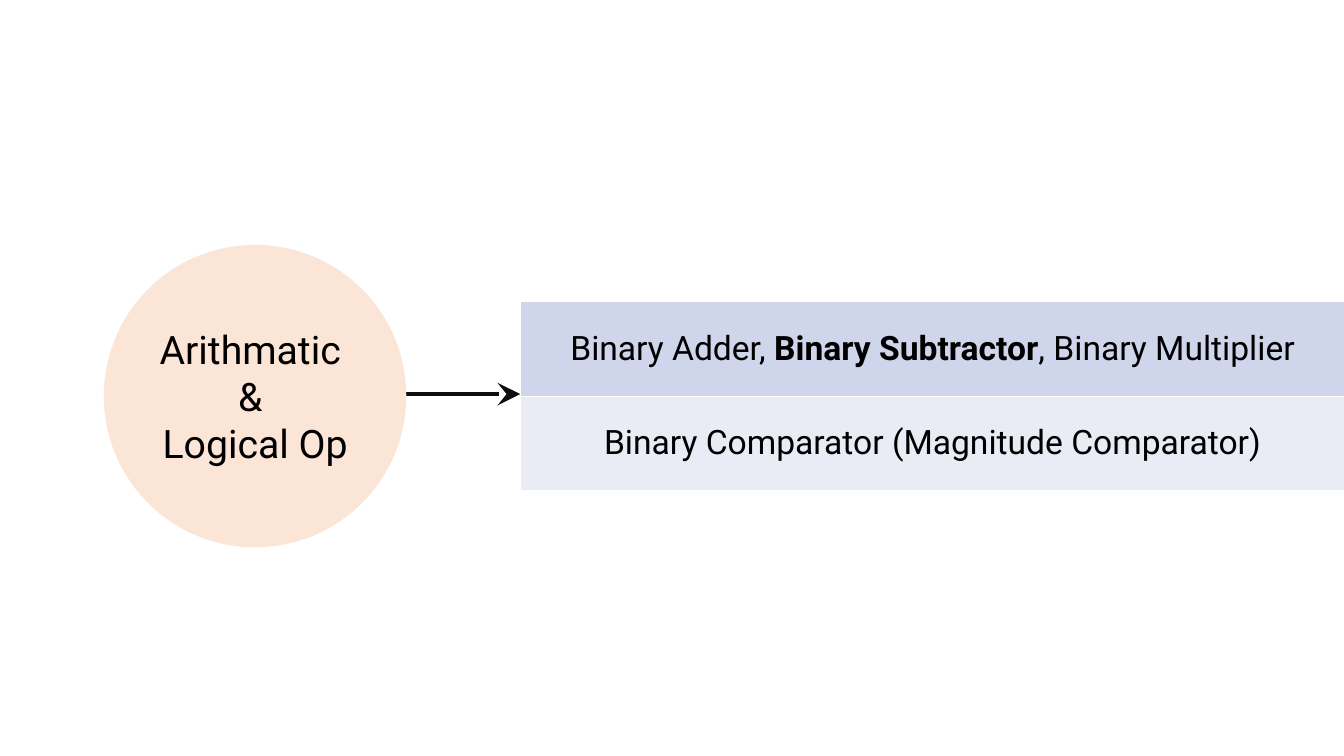
from dataclasses import dataclass

from lxml import etree
from pptx import Presentation
from pptx.dml.color import RGBColor
from pptx.enum.shapes import MSO_CONNECTOR, MSO_SHAPE
from pptx.enum.text import MSO_ANCHOR, MSO_AUTO_SIZE, PP_ALIGN
from pptx.oxml.ns import qn
from pptx.util import Pt

EMU_PER_PX = 9144  # 100 px to the inch
FONT = "Roboto"
BLACK, WHITE, PEACH = "000000", "FFFFFF", "FBE5D6"
CENTER, MIDDLE = PP_ALIGN.CENTER, MSO_ANCHOR.MIDDLE
OVAL, RECTANGLE = MSO_SHAPE.OVAL, MSO_SHAPE.RECTANGLE
STRAIGHT = MSO_CONNECTOR.STRAIGHT
GROW_SHAPE = MSO_AUTO_SIZE.SHAPE_TO_FIT_TEXT


@dataclass(frozen=True)
class TextRun:
    text: str
    bold: bool = False


@dataclass(frozen=True)
class TableRow:
    runs: tuple[TextRun, ...]
    fill: str


@dataclass(frozen=True)
class Box:
    left: int
    top: int
    width: int
    height: int

    def emu(self) -> tuple[int, ...]:
        return tuple(px(v) for v in (self.left, self.top, self.width, self.height))


CIRCLE = Box(103, 243, 300, 300)
LABEL = Box(148, 317, 210, 151)
TABLE = Box(516, 299, 818, 188)
ARROW_Y = 391
LABEL_LINES = ("Arithmatic ", "& ", "Logical Op")
ROWS = (
    TableRow((TextRun("Binary Adder, "), TextRun("Binary Subtractor", True),
              TextRun(", Binary Multiplier")), "CFD5EA"),
    TableRow((TextRun("Binary Comparator (Magnitude Comparator)"),), "E9EBF5"),
)


def px(value: int) -> int:
    return value * EMU_PER_PX


def color(value: str) -> RGBColor:
    return RGBColor.from_string(value)


def write_paragraph(paragraph, runs: tuple[TextRun, ...], size: int) -> None:
    paragraph.alignment = CENTER
    for item in runs:
        run = paragraph.add_run()
        run.text = item.text
        run.font.name = FONT
        run.font.size = Pt(size)
        run.font.bold = item.bold
        run.font.color.rgb = color(BLACK)


def add_filled_shape(shapes, kind, box: Box, fill: str):
    shape = shapes.add_shape(kind, *box.emu())
    shape.shadow.inherit = False
    shape.fill.solid()
    shape.fill.fore_color.rgb = color(fill)
    shape.line.fill.background()
    return shape


def add_arrow(slide) -> None:
    arrow = slide.shapes.add_connector(
        STRAIGHT, px(CIRCLE.left + CIRCLE.width), px(ARROW_Y), px(TABLE.left), px(ARROW_Y))
    arrow.line.color.rgb = color("0D0D0D")
    arrow.line.width = Pt(3.25)
    etree.SubElement(arrow.line._get_or_add_ln(), qn("a:tailEnd"),
                     type="stealth", w="lg", len="lg")
    etree.SubElement(arrow._element.spPr, qn("a:effectLst"))


def add_topic(slide) -> None:
    group = slide.shapes.add_group_shape()
    add_filled_shape(group.shapes, OVAL, CIRCLE, PEACH)
    label = add_filled_shape(group.shapes, RECTANGLE, LABEL, PEACH)
    frame = label.text_frame
    frame.word_wrap = False
    frame.auto_size = GROW_SHAPE
    frame.vertical_anchor = MIDDLE
    for index, line in enumerate(LABEL_LINES):
        paragraph = frame.add_paragraph() if index else frame.paragraphs[0]
        write_paragraph(paragraph, (TextRun(line),), 28)


def set_borders(cell) -> None:
    properties = cell._tc.get_or_add_tcPr()
    for position, side in enumerate(("lnL", "lnR", "lnT", "lnB")):
        border = etree.Element(qn(f"a:{side}"), w=str(Pt(1)))
        fill = etree.SubElement(border, qn("a:solidFill"))
        etree.SubElement(fill, qn("a:srgbClr"), val=WHITE)
        properties.insert(position, border)


def add_operations_table(slide) -> None:
    table = slide.shapes.add_table(len(ROWS), 1, *TABLE.emu()).table
    table.first_row = False
    table.horz_banding = False
    for index, row in enumerate(ROWS):
        cell = table.cell(index, 0)
        cell.vertical_anchor = MIDDLE
        cell.fill.solid()
        cell.fill.fore_color.rgb = color(row.fill)
        set_borders(cell)
        write_paragraph(cell.text_frame.paragraphs[0], row.runs, 24)


def main() -> None:
    presentation = Presentation()
    presentation.slide_width = px(1333)
    presentation.slide_height = px(750)
    slide = presentation.slides.add_slide(presentation.slide_layouts[6])

    # Arrow behind the topic circle and the table of operations
    add_arrow(slide)
    add_topic(slide)
    add_operations_table(slide)
    presentation.save("out.pptx")


if __name__ == "__main__":
    main()
